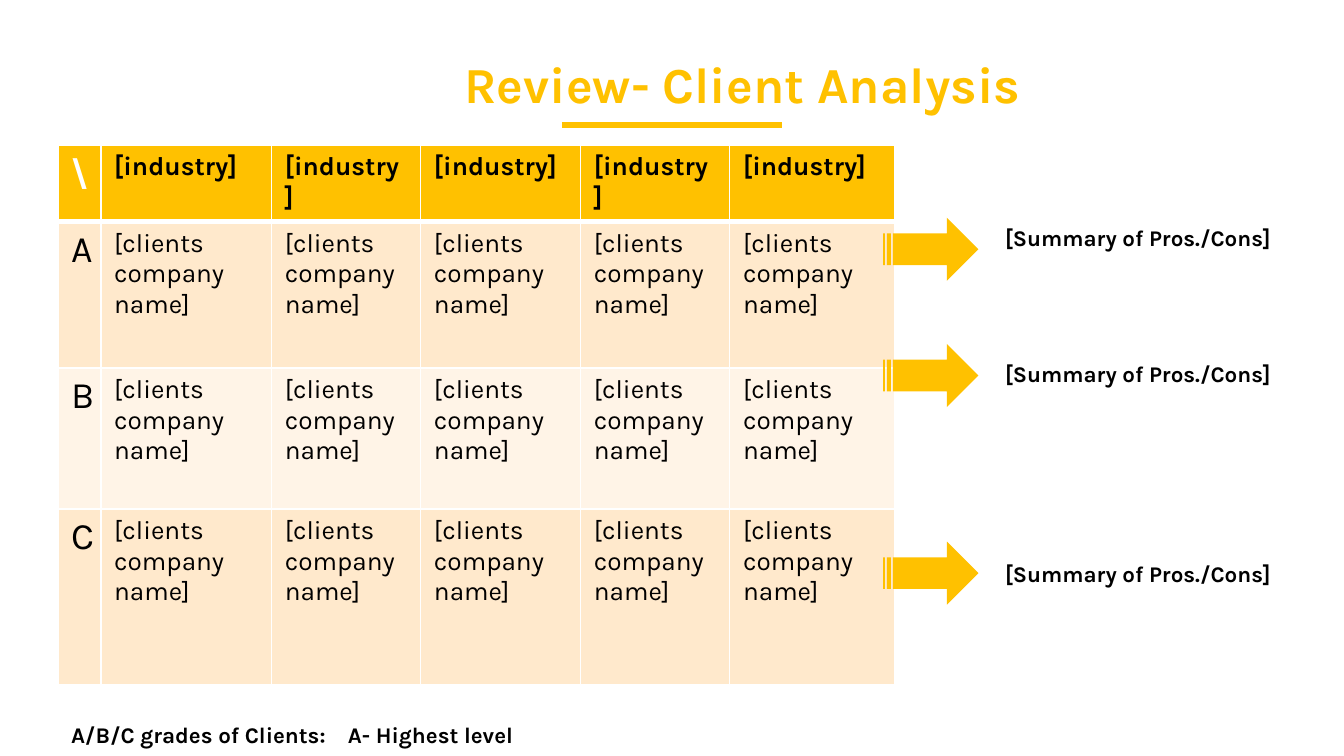
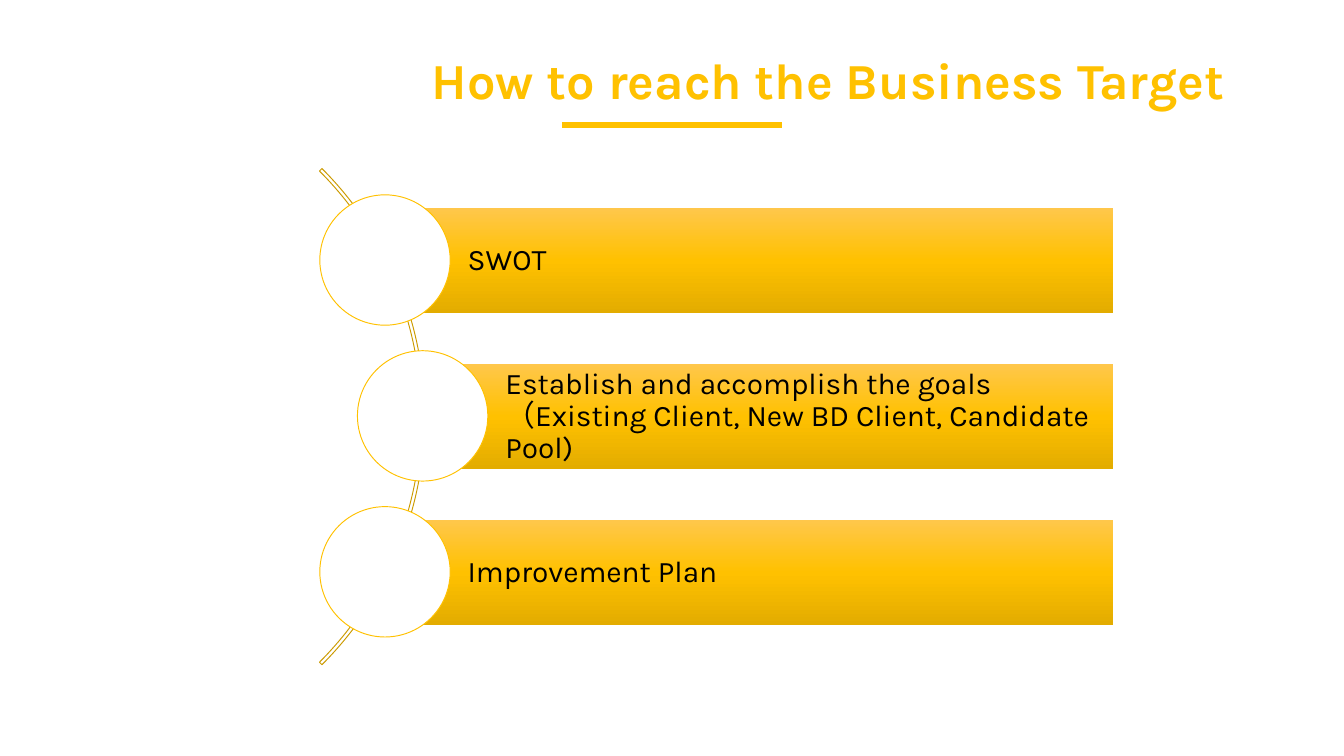
from lxml.etree import SubElement
from pptx import Presentation
from pptx.dml.color import RGBColor
from pptx.enum.shapes import MSO_CONNECTOR, MSO_SHAPE
from pptx.enum.text import MSO_ANCHOR, MSO_AUTO_SIZE, PP_ALIGN
from pptx.oxml.ns import qn
from pptx.util import Inches, Pt

FONT = "Karla"
COLORS = {
    "gold": "FFC100",
    "gold_light": "FFC74B",
    "gold_dark": "E3AC00",
    "arc": "CC9B00",
    "band": "FFE9CC",
    "band_light": "FFF4E7",
    "white": "FFFFFF",
    "black": "000000",
}


def rgb(name):
    return RGBColor.from_string(COLORS[name])


def write_text(frame, text, size=12, color="black", bold=False,
               align=PP_ALIGN.LEFT, line_spacing=None, tab=None):
    frame.word_wrap = True
    paragraph = frame.paragraphs[0]
    paragraph.alignment = align
    if line_spacing:
        paragraph.line_spacing = line_spacing
    if tab:
        tabs = SubElement(paragraph._p.get_or_add_pPr(), qn("a:tabLst"))
        SubElement(tabs, qn("a:tab"), pos=str(Inches(tab)), algn="l")
    run = paragraph.add_run()
    run.text = text
    run.font.name = FONT
    run.font.size = Pt(size)
    run.font.bold = bold
    run.font.color.rgb = rgb(color)


def add_text_box(slide, left, top, width, height, text, **text_format):
    box = slide.shapes.add_textbox(
        Inches(left), Inches(top), Inches(width), Inches(height))
    write_text(box.text_frame, text, **text_format)
    box.text_frame.auto_size = MSO_AUTO_SIZE.SHAPE_TO_FIT_TEXT


def add_shape(slide, kind, left, top, width, height, fill=None, line=None):
    shape = slide.shapes.add_shape(
        kind, Inches(left), Inches(top), Inches(width), Inches(height))
    shape.shadow.inherit = False
    if fill:
        shape.fill.solid()
        shape.fill.fore_color.rgb = rgb(fill)
    else:
        shape.fill.background()
    if line:
        shape.line.color.rgb = rgb(line)
        shape.line.width = Pt(0.5)
    else:
        shape.line.fill.background()
    return shape


def add_title(slide, text, top, width):
    underline = slide.shapes.add_connector(
        MSO_CONNECTOR.STRAIGHT, Inches(4.18), Inches(0.93), Inches(5.82), Inches(0.93))
    underline.line.color.rgb = rgb("gold")
    underline.line.width = Pt(3)
    SubElement(underline._element.spPr, qn("a:effectLst"))
    add_text_box(slide, 3.07, top, width, 0.51, text, size=27, color="gold",
                 bold=True, align=PP_ALIGN.CENTER, line_spacing=0.9)


def set_borders(cell, bottom=1):
    properties = cell._tc.get_or_add_tcPr()
    for side, width in (("L", 1), ("R", 1), ("T", 1), ("B", bottom)):
        border = SubElement(properties, qn(f"a:ln{side}"), w=str(Pt(width)))
        fill = SubElement(border, qn("a:solidFill"))
        SubElement(fill, qn("a:srgbClr"), val=COLORS["white"])


def add_client_table(slide):
    column_widths = [0.32, 1.27, 1.11, 1.19, 1.11, 1.23]
    row_heights = [0.4, 1.09, 1.05, 1.31]
    grades = ["\\", "A", "B", "C"]
    row_fills = ["gold", "band", "band_light", "band"]
    table = slide.shapes.add_table(
        len(row_heights), len(column_widths), Inches(0.43), Inches(1.08),
        Inches(6.22), Inches(3.89)).table
    for column, width in zip(table.columns, column_widths):
        column.width = Inches(width)
    for row_index, height in enumerate(row_heights):
        table.rows[row_index].height = Inches(height)
        is_header = row_index == 0
        label = "[industry]" if is_header else "[clients company name]"
        for column_index in range(len(column_widths)):
            is_grade = column_index == 0
            cell = table.cell(row_index, column_index)
            set_borders(cell, bottom=3 if is_header else 1)
            cell.fill.solid()
            cell.fill.fore_color.rgb = rgb(row_fills[row_index])
            write_text(cell.text_frame, grades[row_index] if is_grade else label,
                       size=20 if is_grade else 14, bold=is_header,
                       color="white" if is_header and is_grade else "black")


def apply_gold_gradient(shape):
    shape.fill.gradient()
    shape.fill.gradient_angle = 270
    stops = shape._element.spPr.find(qn("a:gradFill")).find(qn("a:gsLst"))
    for stop in list(stops):
        stops.remove(stop)
    for position, name in ((0, "gold_light"), (50, "gold"), (100, "gold_dark")):
        stop = SubElement(stops, qn("a:gs"), pos=str(position * 1000))
        SubElement(stop, qn("a:srgbClr"), val=COLORS[name])


def add_step(slide, left, top, text):
    right, diameter = 8.28, 0.97
    bar = add_shape(slide, MSO_SHAPE.RECTANGLE, left, top, right - left, 0.78)
    apply_gold_gradient(bar)
    frame = bar.text_frame
    frame.vertical_anchor = MSO_ANCHOR.MIDDLE
    frame.margin_left = Inches(0.62)
    frame.margin_top = frame.margin_right = frame.margin_bottom = Inches(0.04)
    write_text(frame, text, size=16, line_spacing=0.9)
    add_shape(slide, MSO_SHAPE.OVAL, left - 0.48, top - 0.1, diameter, diameter,
              fill="white", line="gold")


def build_client_analysis(slide):
    add_title(slide, "Review- Client Analysis ", 0.4, 5)
    add_client_table(slide)
    for arrow_top, summary_top in ((1.62, 1.62), (2.56, 2.63), (4.03, 4.12)):
        add_shape(slide, MSO_SHAPE.STRIPED_RIGHT_ARROW, 6.57, arrow_top, 0.71, 0.47,
                  fill="gold")
        add_text_box(slide, 7.38, summary_top, 2.39, 0.3, "[Summary of Pros./Cons]",
                     bold=True)
    add_text_box(slide, 0.43, 5.32, 5.75, 0.3,
                 "A/B/C grades of Clients:\tA- Highest level", bold=True, tab=2.06)


def build_business_target(slide):
    add_title(slide, "How to reach the Business Target", 0.37, 6.18)
    arc = add_shape(slide, MSO_SHAPE.BLOCK_ARC, -2.06, 0.49, 5.22, 5.22, line="arc")
    for index, value in enumerate((189, 27, 0.005)):
        arc.adjustments[index] = value
    steps = [
        (2.86, "SWOT"),
        (3.14, "Establish and accomplish the goals"
               "（Existing Client, New BD Client, Candidate Pool)"),
        (2.86, "Improvement Plan"),
    ]
    for index, (left, text) in enumerate(steps):
        add_step(slide, left, 1.55 + 1.16 * index, text)


def main():
    presentation = Presentation()
    presentation.slide_width = Inches(10)
    presentation.slide_height = Inches(10) * 9 // 16
    blank = presentation.slide_layouts[6]
    for build in (build_client_analysis, build_business_target):
        build(presentation.slides.add_slide(blank))
    presentation.save("out.pptx")


if __name__ == "__main__":
    main()
